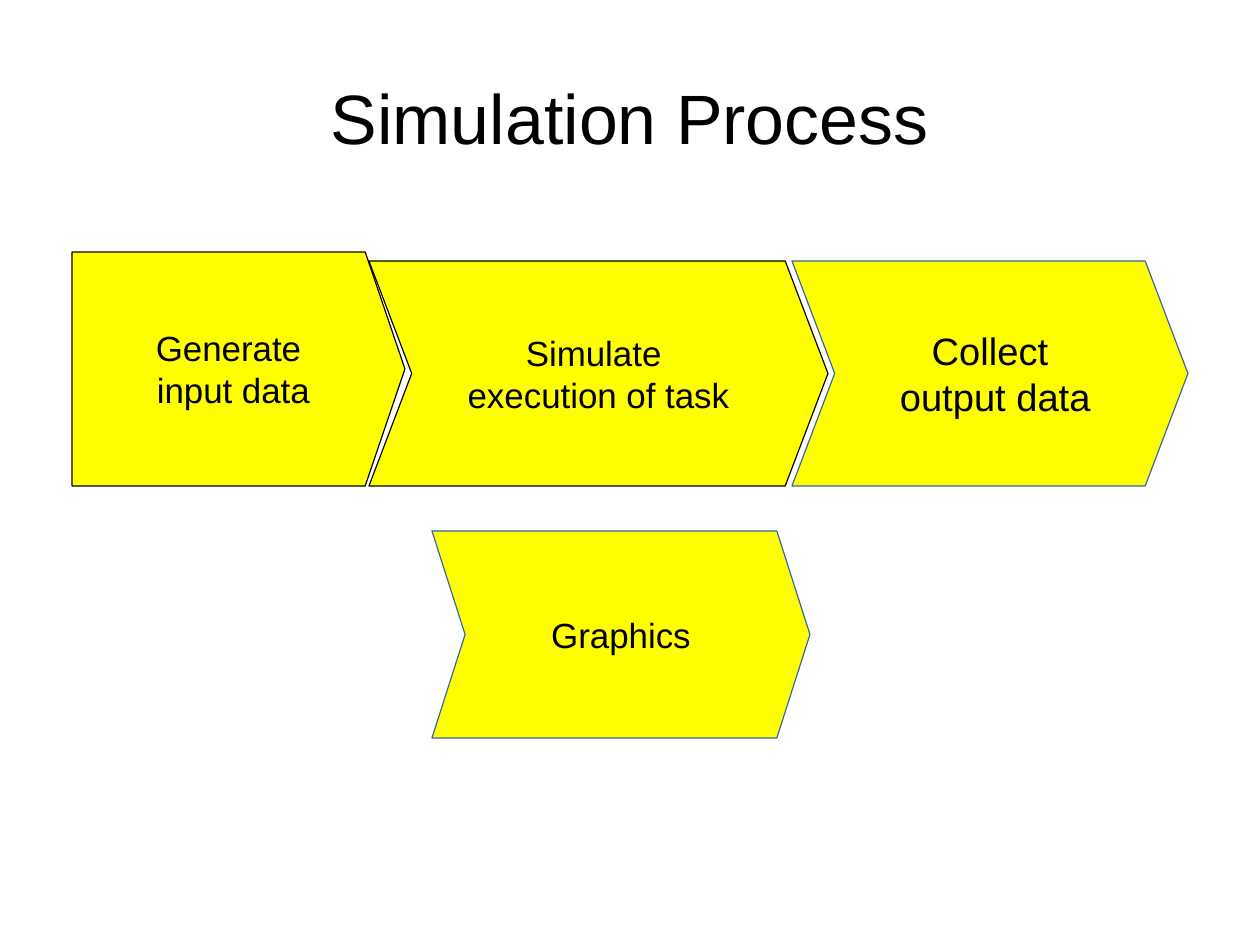
import pptx
import pptx.dml.color
import pptx.enum.shapes
import pptx.enum.text
import pptx.util

Cm = pptx.util.Cm
Preset = pptx.enum.shapes.MSO_SHAPE

COLORS = {
    "text": "000000",
    "step": "FFFF00",
    "black_outline": "000000",
    "blue_outline": "3465A4",
}


def rgb(name):
    return pptx.dml.color.RGBColor.from_string(COLORS[name])


def write_text(shape, text, size, margins=(0.25, 0.13), wrap=False):
    frame = shape.text_frame
    frame.text = text
    frame.word_wrap = wrap
    frame.auto_size = pptx.enum.text.MSO_AUTO_SIZE.NONE
    frame.vertical_anchor = pptx.enum.text.MSO_ANCHOR.MIDDLE
    frame.margin_left = frame.margin_right = Cm(margins[0])
    frame.margin_top = frame.margin_bottom = Cm(margins[1])
    for paragraph in frame.paragraphs:
        paragraph.alignment = pptx.enum.text.PP_ALIGN.CENTER
        paragraph.line_spacing = 1.0
        paragraph.space_before = pptx.util.Pt(0)
        for run in paragraph.runs:
            run.font.name = "Arial"
            run.font.size = pptx.util.Pt(size)
            run.font.color.rgb = rgb("text")


def place_title(slide, text):
    title = slide.shapes.title
    title.left, title.top = Cm(1.4), Cm(0.84)
    title.width, title.height = Cm(25.2), Cm(3.5)
    write_text(title, text, size=44, margins=(0, 0), wrap=True)


def add_step(slide, text, box, preset=Preset.CHEVRON, point=0.19, outline="blue_outline", size=22):
    shape = slide.shapes.add_shape(preset, *map(Cm, box))
    shape.adjustments[0] = point
    shape.shadow.inherit = False
    shape.fill.solid()
    shape.fill.fore_color.rgb = rgb("step")
    shape.line.color.rgb = rgb(outline)
    shape.line.width = pptx.util.Pt(0.75)
    write_text(shape, text, size=size)


def main():
    presentation = pptx.Presentation()
    presentation.slide_width, presentation.slide_height = Cm(28), Cm(21)
    slide = presentation.slides.add_slide(presentation.slide_layouts[5])
    place_title(slide, "Simulation Process")
    add_step(slide, "Generate\n input data", (1.6, 5.6, 7.4, 5.2),
             preset=Preset.PENTAGON, point=0.17, outline="black_outline")
    add_step(slide, "Simulate \nexecution of task", (8.2, 5.8, 10.2, 5), outline="black_outline")
    add_step(slide, "Collect\n output data", (17.6, 5.8, 8.8, 5), size=24)
    add_step(slide, "Graphics", (9.6, 11.8, 8.4, 4.6), point=0.16)
    presentation.save("out.pptx")


if __name__ == "__main__":
    main()
